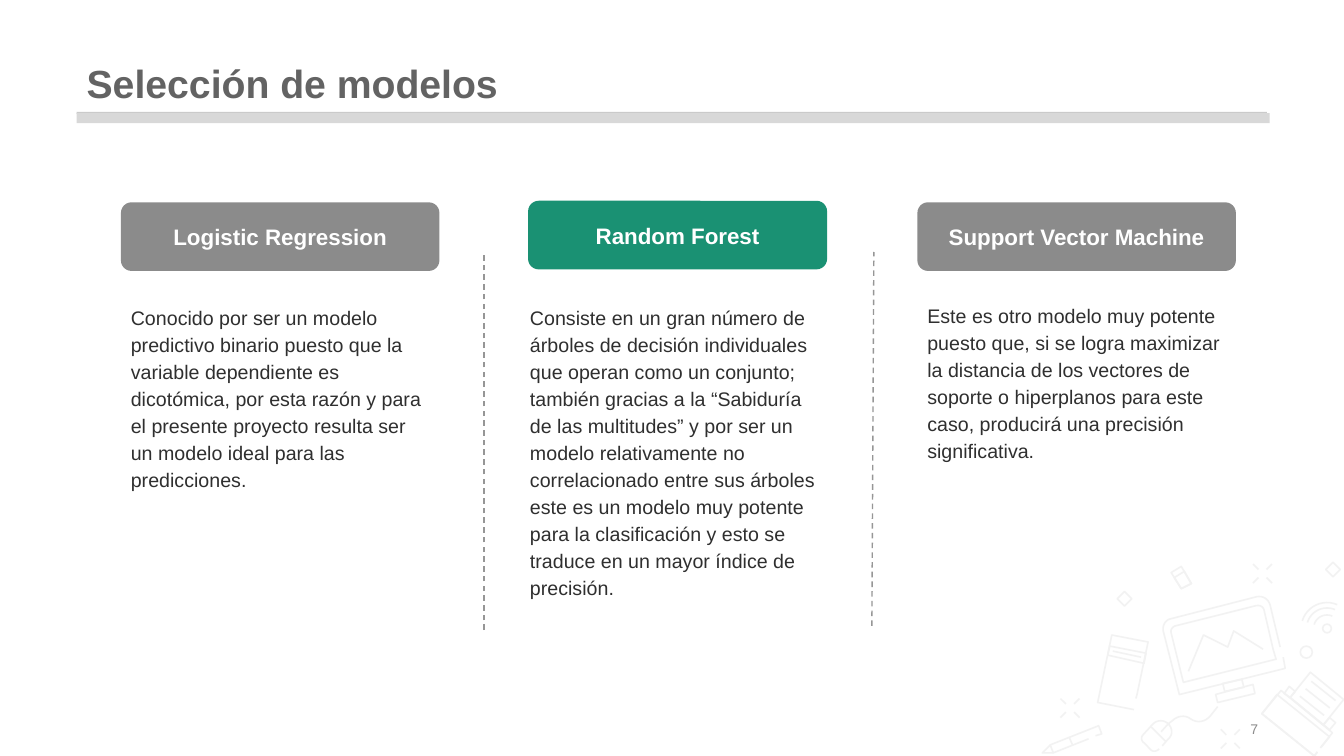
from math import cos, radians, sin

from lxml.etree import SubElement
from pptx import Presentation
from pptx.dml.color import RGBColor
from pptx.enum.dml import MSO_LINE_DASH_STYLE as Dash
from pptx.enum.shapes import MSO_CONNECTOR as Connector, MSO_SHAPE as Shape
from pptx.enum.text import MSO_ANCHOR as Anchor, MSO_AUTO_SIZE as AutoSize, PP_ALIGN as Align
from pptx.oxml.ns import qn
from pptx.util import Pt

FONT = "Arial"
DOODLE = "F2F2F2"
GRAY, GREEN = "8B8B8B", "1A9173"

# Desk doodles: a pair is a corner, six numbers are a curve (two controls, end)
OPEN_OUTLINES = [
    # Mouse, cable and button line
    [(86.2, 132.8), (90.5, 127.8), (94.1, 124.9, 93.4, 119.8, 90.5, 117),
     (87.6, 114.1, 82.6, 114.1, 79.7, 117), (72.5, 124.9),
     (71, 126.3, 71, 129.2, 73.2, 130.6), (77.5, 135), (79, 137.1, 81.8, 137.1, 84, 135)],
    [(85.4, 122.7), (90.5, 117), (93.4, 114.8), (97, 111.2, 102.7, 110.5, 106.3, 113.4),
     (111.4, 117, 117.1, 115.5, 120.7, 111.2), (125.8, 104.7)],
    # Monitor, screen and its chart
    [(172.6, 69.4), (174, 77.4), (98.4, 96.1), (86.9, 50.7),
     (86.2, 47.1, 88.3, 42.8, 91.9, 42.1), (153.8, 26.2),
     (158.2, 25.5, 161.8, 27.7, 163.2, 32), (170.4, 62.2)],
    [(165.4, 63.7), (167.5, 70.9), (101.3, 87.4), (92.6, 52.2),
     (91.9, 50, 93.4, 47.8, 95.5, 47.1), (153.1, 32.7),
     (156, 32, 158.2, 33.4, 158.9, 35.6), (165.4, 63.7)],
    [(104.9, 79.5), (115.7, 53.6), (133, 62.2), (137.3, 50.7), (158.2, 63.7)],
    # Folder back and front
    [(197, 137.1), (194.9, 140), (157.4, 109.8), (171.1, 93.2), (207.8, 123.4), (199.2, 134.2)],
    [(197, 137.1), (194.9, 140), (157.4, 109.8), (168.2, 96.1), (205.7, 126.3), (199.9, 133.5)],
    # Book, pencil and pencil tip
    [(66, 106.9), (40.1, 101.8), (50.2, 53.6), (76.1, 58.6), (68.2, 96.1), (67.4, 99)],
    [(33.6, 127.8), (8.4, 137.8), (6.2, 132.1), (40.8, 118.4), (43, 124.2), (38.6, 125.6)],
    [(6.2, 132.1), (0.5, 137.8), (8.4, 137.8)],
]
CLOSED_OUTLINES = [
    # Monitor base and neck
    [(152.4, 95.4), (125.8, 101.8), (124.3, 96.1), (151, 88.9)],
    [(144.5, 91), (130.8, 93.9), (129.4, 88.2), (143, 85.3)],
    # Paper and its two tabs
    [(201.4, 117.7), (177.6, 98.2), (192, 80.2), (215.8, 99.7)],
    [(177.6, 98.2), (173.3, 95.4), (176.9, 90.3), (181.2, 93.9)],
    [(205.7, 121.3), (201.4, 117.7), (205.7, 112.6), (210, 116.2)],
    # Book band, eraser and its sleeve
    [(73.2, 73.8), (47.3, 68), (48.7, 61.5), (74.6, 66.6)],
    [(107, 16.9), (99.8, 20.5), (92.6, 9), (99.8, 4.6)],
    [(107, 16.9), (99.8, 20.5), (94.8, 12.6), (102, 8.2)],
]
# Mouse button, book title and pencil ring
STROKES = [(78.2, 119.1, 89, 129.9), (50.9, 65.1, 71, 69.4), (19.9, 127, 22.1, 132.1)]
DIAMONDS = [(59.2, 27.7), (208.2, 6.8)]
SPARKLES = [(134.8, 127.8), (20.3, 105.8), (157.8, 9.7)]
SIGNAL_CENTER = (203.9, 48.9)

# Heading, colour, heading box, body box, body text
MODELS = [
    ("Logistic Regression", GRAY, (86.4, 144.5, 227.5, 49), (86.4, 212.4, 227.5, 168),
     "Conocido por ser un modelo predictivo binario puesto que la variable dependiente es "
     "dicotómica, por esta razón y para el presente proyecto resulta ser un modelo ideal para "
     "las predicciones."),
    ("Random Forest", GREEN, (377.2, 143.4, 213.6, 49), (371.5, 212.4, 227.5, 255.6),
     "Consiste en un gran número de árboles de decisión individuales que operan como un "
     "conjunto; también gracias a la “Sabiduría de las multitudes” y por ser un modelo "
     "relativamente no correlacionado entre sus árboles este es un modelo muy potente para la "
     "clasificación y esto se traduce en un mayor índice de precisión."),
    ("Support Vector Machine", GRAY, (655.3, 144.5, 227.5, 49), (655.3, 211, 233.3, 180),
     "Este es otro modelo muy potente puesto que, si se logra maximizar la distancia de los "
     "vectores de soporte o hiperplanos para este caso, producirá una precisión significativa."),
]


def color(value):
    return RGBColor.from_string(value)


def points(*values):
    return [Pt(value) for value in values]


def write(shape, text, size, hue, bold=False, align=Align.LEFT, anchor=Anchor.TOP, spacing=1.0):
    frame = shape.text_frame
    frame.word_wrap = True
    frame.auto_size = AutoSize.NONE
    frame.vertical_anchor = anchor
    paragraph = frame.paragraphs[0]
    paragraph.alignment = align
    paragraph.line_spacing = spacing
    run = paragraph.add_run()
    run.text = text
    run.font.name, run.font.size, run.font.bold = FONT, Pt(size), bold
    run.font.color.rgb = color(hue)


def add_filled(shapes, kind, box, fill):
    shape = shapes.add_shape(kind, *points(*box))
    shape.shadow.inherit = False
    shape.fill.solid()
    shape.fill.fore_color.rgb = color(fill)
    shape.line.fill.background()
    return shape


def add_line(shapes, ends, hue, width):
    line = shapes.add_connector(Connector.STRAIGHT, *points(*ends))
    line.line.color.rgb = color(hue)
    line.line.width = Pt(width)
    SubElement(line._element.spPr, qn("a:effectLst"))
    return line


def outline_only(shape):
    shape.shadow.inherit = False
    shape.fill.background()
    shape.line.color.rgb = color(DOODLE)
    shape.line.width = Pt(1.12)


def flatten(outline, steps=8):
    """Turn the curves of an outline into short straight pieces."""
    corners = []
    for node in outline:
        if len(node) == 2:
            corners.append(node)
            continue
        controls = [corners[-1], node[:2], node[2:4], node[4:]]
        for step in range(1, steps + 1):
            t = step / steps
            weights = ((1 - t) ** 3, 3 * t * (1 - t) ** 2, 3 * t * t * (1 - t), t ** 3)
            corners.append(tuple(sum(w * c[axis] for w, c in zip(weights, controls))
                                 for axis in (0, 1)))
    return corners


def add_doodles(slide, left, top):
    shapes = slide.shapes.add_group_shape().shapes

    def draw(outline, close=False):
        corners = [(x * 100, y * 100) for x, y in flatten(outline)]
        builder = shapes.build_freeform(*corners[0], scale=Pt(1) / 100)
        builder.add_line_segments(corners[1:], close=close)
        outline_only(builder.convert_to_shape(Pt(left), Pt(top)))

    def stroke(x1, y1, x2, y2):
        add_line(shapes, (left + x1, top + y1, left + x2, top + y2), DOODLE, 1.12)

    def ring(x, y, radius):
        outline_only(shapes.add_shape(Shape.OVAL, *points(
            left + x - radius, top + y - radius, 2 * radius, 2 * radius)))

    for outline in OPEN_OUTLINES:
        draw(outline)
    for outline in CLOSED_OUTLINES:
        draw(outline, close=True)
    for x, y in DIAMONDS:
        draw([(x, y + 5.2), (x - 5.2, y), (x, y - 5.2), (x + 5.2, y)], close=True)
    for ends in STROKES:
        stroke(*ends)
    for row in range(3):
        dx, dy = -4.1 * row, 5.3 * row
        stroke(192.7 + dx, 86.7 + dy, 210 + dx, 100.4 + dy)
    for x, y in SPARKLES:
        for sx, sy in ((1, 1), (1, -1), (-1, 1), (-1, -1)):
            stroke(x + 2.9 * sx, y + 2.9 * sy, x + 6.8 * sx, y + 6.8 * sy)
    # Wireless signal
    x, y = SIGNAL_CENTER
    for radius in (18.5, 14.6, 9.6):
        draw([(x + radius * cos(radians(angle)), y + radius * sin(radians(angle)))
              for angle in range(197, 295, 8)])
    ring(x, y, 3.1)
    ring(189.1, 65.8, 4.3)


def add_header(slide, left, bottom, width):
    add_filled(slide.shapes, Shape.RECTANGLE, (left, bottom, width, 1.4), "CACACA")
    add_filled(slide.shapes, Shape.RECTANGLE, (left, bottom + 0.8, width + 2, 7.2), "D8D8D8")
    title = slide.shapes.title
    title.left, title.top, title.width, title.height = points(left, 0, width, bottom)
    write(title, "Selección de modelos", 28, "636363", True, anchor=Anchor.BOTTOM, spacing=0.9)


def add_model(slide, heading, fill, heading_box, body_box, body):
    card = add_filled(slide.shapes, Shape.ROUNDED_RECTANGLE, heading_box, fill)
    card.adjustments[0] = 0.155
    write(card, heading, 16, "FFFFFF", True, Align.CENTER, Anchor.MIDDLE)
    write(slide.shapes.add_textbox(*points(*body_box)), body, 14, "2F2F2F", spacing=1.15)


def main():
    presentation = Presentation()
    presentation.slide_width, presentation.slide_height = points(960, 540)
    slide = presentation.slides.add_slide(presentation.slide_layouts[5])
    add_doodles(slide, 744, 400)
    add_header(slide, 54.7, 80, 850.3)
    # Slide number
    number = slide.shapes.add_textbox(*points(678.2, 512.6, 227.5, 16.6))
    write(number, "7", 10, "8C8C8C", align=Align.RIGHT, anchor=Anchor.MIDDLE)
    # Column dividers
    for ends in ((345.6, 450, 345.6, 180), (622.8, 447.1, 624.2, 180)):
        add_line(slide.shapes, ends, "969696", 1).line.dash_style = Dash.DASH
    for model in MODELS:
        add_model(slide, *model)
    presentation.save("out.pptx")


if __name__ == "__main__":
    main()
